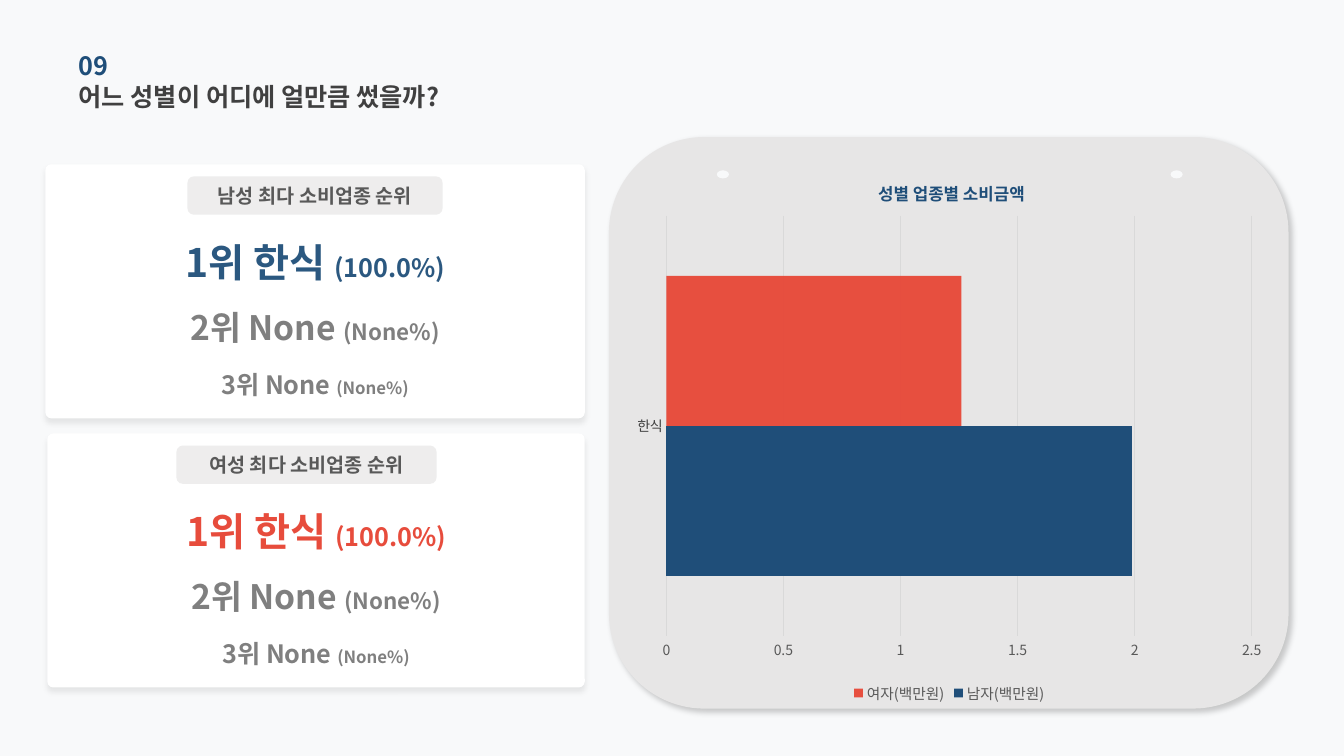
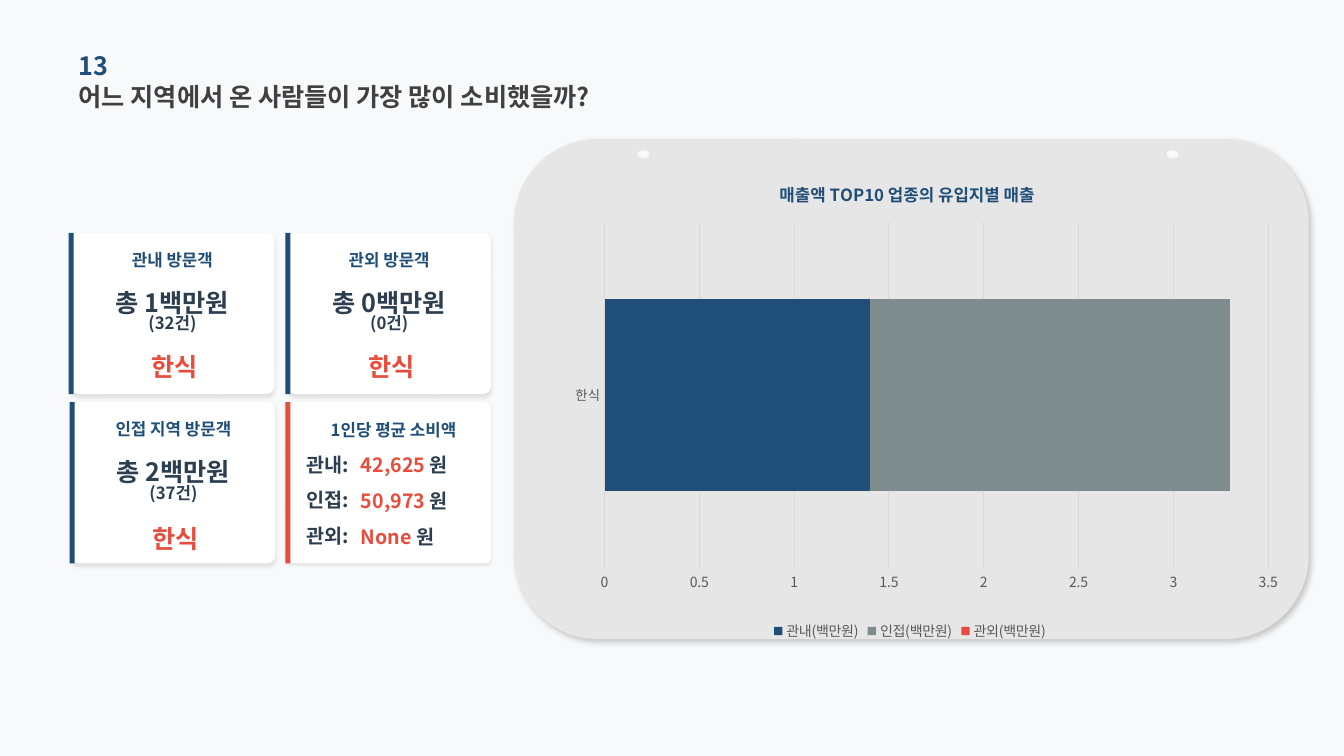
from pptx import Presentation
from pptx.chart.data import CategoryChartData
from pptx.dml.color import RGBColor
from pptx.enum.chart import XL_CHART_TYPE as ChartType, XL_LEGEND_POSITION as LegendPos
from pptx.enum.chart import XL_TICK_MARK as TickMark
from pptx.enum.shapes import MSO_SHAPE as Shape
from pptx.enum.text import MSO_ANCHOR as Anchor, PP_ALIGN as Align
from pptx.oxml import parse_xml
from pptx.oxml.ns import nsdecls, qn
from pptx.util import Inches, Pt

FONT = "Noto Sans CJK KR"
PAGE = RGBColor(0xF8, 0xF9, 0xFA)
WHITE = RGBColor(0xFF, 0xFF, 0xFF)
PANEL = RGBColor(0xE7, 0xE6, 0xE6)
PILL = RGBColor(0xD0, 0xCE, 0xCE)
GRID = RGBColor(0xD9, 0xD9, 0xD9)
NAVY = RGBColor(0x1F, 0x4E, 0x79)
STEEL = RGBColor(0x2B, 0x58, 0x80)
SLATE = RGBColor(0x2C, 0x3E, 0x50)
RED = RGBColor(0xE7, 0x4C, 0x3C)
TEAL_GRAY = RGBColor(0x7F, 0x8C, 0x8D)
CHARCOAL = RGBColor(0x40, 0x40, 0x40)
DARK_GRAY = RGBColor(0x59, 0x59, 0x59)
GRAY = RGBColor(0x7F, 0x7F, 0x7F)

PANEL_SHADOW = (20, 4, 3, 45)
RANK_SHADOW = (8, 4, 3, 90)
VISITOR_SHADOW = (10, 3, 2, 90)
AVERAGE_SHADOW = (10, 2, 1, 90)


def style_font(font, size, color, bold=False):
    font.size = Pt(size)
    font.bold = bold
    font.color.rgb = color
    font.name = FONT
    latin = font._rPr.find(qn("a:latin"))
    latin.addnext(parse_xml(f'<a:ea {nsdecls("a")} typeface="{FONT}"/>'))


def set_alpha(element, percent):
    color = next(element.iter(qn("a:srgbClr")))
    color.append(parse_xml(f'<a:alpha {nsdecls("a")} val="{percent * 1000}"/>'))


def add_block(slide, kind, left, top, width, height, fill, corner=None, shadow=None):
    block = slide.shapes.add_shape(kind, Inches(left), Inches(top), Inches(width), Inches(height))
    block.fill.solid()
    block.fill.fore_color.rgb = fill
    block.line.fill.background()
    block.shadow.inherit = False
    if corner is not None:
        block.adjustments[0] = corner
    if shadow:
        alpha, blur, distance, angle = shadow
        block._element.spPr.find(qn("a:effectLst")).append(parse_xml(
            f'<a:outerShdw {nsdecls("a")} blurRad="{Pt(blur)}" dist="{Pt(distance)}" '
            f'dir="{angle * 60000}" algn="tl" rotWithShape="0"><a:srgbClr val="000000">'
            f'<a:alpha val="{alpha * 1000}"/></a:srgbClr></a:outerShdw>'))
    return block


def write(shape, lines, align=Align.CENTER, spacing=None):
    frame = shape.text_frame
    frame.word_wrap = True
    frame.vertical_anchor = Anchor.MIDDLE
    frame.margin_left = frame.margin_right = frame.margin_top = frame.margin_bottom = 0
    for index, line in enumerate(lines):
        paragraph = frame.add_paragraph() if index else frame.paragraphs[0]
        paragraph.alignment = align
        if spacing:
            paragraph.line_spacing = spacing
        for words, size, color in line:
            run = paragraph.add_run()
            run.text = words
            style_font(run.font, size, color, True)


def add_text(slide, left, top, width, height, *lines, **options):
    box = slide.shapes.add_textbox(Inches(left), Inches(top), Inches(width), Inches(height))
    write(box, lines, **options)


def add_page(deck, number, question):
    slide = deck.slides.add_slide(deck.slide_layouts[6])
    slide.background.fill.solid()
    slide.background.fill.fore_color.rgb = PAGE
    add_text(slide, 0.78, 0.44, 5.35, 0.41, [(number, 18, NAVY)], align=Align.LEFT)
    add_text(slide, 0.78, 0.75, 5.35, 0.41, [(question, 18, CHARCOAL)], align=Align.LEFT)
    return slide


def add_panel(slide, left, top, width, height, hole_offsets, hole_drop):
    add_block(slide, Shape.ROUNDED_RECTANGLE, left, top, width, height, PANEL, shadow=PANEL_SHADOW)
    for offset in hole_offsets:
        add_block(slide, Shape.OVAL, left + offset, top + hole_drop, 0.12, 0.08, PAGE)


def set_layout(parent, index, inner=False, **fractions):
    for old in parent.findall(qn("c:layout")):
        parent.remove(old)
    target = '<c:layoutTarget val="inner"/>' if inner else ""
    modes = "".join(f'<c:{side}Mode val="edge"/>' for side in "xy")
    places = "".join(f'<c:{key} val="{value}"/>' for key, value in fractions.items())
    parent.insert(index, parse_xml(
        f'<c:layout {nsdecls("c")}><c:manualLayout>{target}{modes}{places}'
        '</c:manualLayout></c:layout>'))


def style_axis(axis, size, color):
    axis.major_tick_mark = axis.minor_tick_mark = TickMark.NONE
    style_font(axis.tick_labels.font, size, color)


def add_sales_chart(slide, box, kind, title, series, maximum, plot_area, title_spot,
                    category_font, legend_size):
    data = CategoryChartData()
    data.categories = ["한식"]
    for name, value, _ in series:
        data.add_series(name, [value])
    chart = slide.shapes.add_chart(kind, *map(Inches, box), data).chart
    chart.font.size = Pt(10)
    chart.font.name = FONT
    chart.element.find(qn("c:chart")).addnext(parse_xml(
        f'<c:spPr {nsdecls("c", "a")}><a:noFill/><a:ln><a:noFill/></a:ln></c:spPr>'))

    chart.has_title = True
    heading = chart.chart_title.text_frame
    heading.text = title
    style_font(heading.paragraphs[0].runs[0].font, 12, NAVY, True)
    set_layout(chart.chart_title._element, 1, **dict(zip("xy", title_spot)))
    set_layout(chart.element.find(".//" + qn("c:plotArea")), 0, inner=True,
               **dict(zip("xywh", plot_area)))

    chart.has_legend = True
    chart.legend.position = LegendPos.BOTTOM
    chart.legend.include_in_layout = False
    style_font(chart.legend.font, legend_size, DARK_GRAY)

    style_axis(chart.category_axis, *category_font)
    chart.category_axis.format.line.color.rgb = GRID
    chart.category_axis.format.line.width = Pt(0.75)
    amounts = chart.value_axis
    style_axis(amounts, 10, DARK_GRAY)
    amounts.minimum_scale, amounts.maximum_scale, amounts.major_unit = 0, maximum, 0.5
    amounts.format.line.fill.background()
    amounts.has_major_gridlines = True
    amounts.major_gridlines.format.line.color.rgb = GRID
    amounts.major_gridlines.format.line.width = Pt(0.75)

    plot = chart.plots[0]
    plot.gap_width = 80
    plot.vary_by_categories = False
    for bar, (_, _, color) in zip(plot.series, series):
        bar.format.fill.solid()
        bar.format.fill.fore_color.rgb = color
    return chart


def add_ranking(slide, left, top, width, heading, accent, pill_offset, pill_width):
    add_block(slide, Shape.ROUNDED_RECTANGLE, left, top, width, 2.52, WHITE, 0.023, RANK_SHADOW)
    ranks = [
        (0.73, 0.48, "1위 한식 ", 28, "(100.0%)", 18, accent),
        (1.19, 0.84, "2위 None ", 24, "(None%)", 16, GRAY),
        (1.76, 0.84, "3위 None ", 18, "(None%)", 12, GRAY),
    ]
    for drop, height, rank, rank_size, share, share_size, color in ranks:
        add_text(slide, left, top + drop, width, height,
                 [(rank, rank_size, color), (share, share_size, color)])
    pill = add_block(slide, Shape.ROUNDED_RECTANGLE, left + pill_offset, top + 0.12,
                     pill_width, 0.38, PILL)
    set_alpha(pill._element, 36)
    write(pill, [[(heading, 14, DARK_GRAY)]])


def add_edge(slide, left, top, color):
    add_block(slide, Shape.RECTANGLE, left, top, 0.05, 1.6, color)


def add_visitors(slide, left, top, heading, total, count, menu_drop=1.09):
    card = left + 0.02
    add_block(slide, Shape.ROUNDED_RECTANGLE, card, top, 2.02, 1.6, WHITE, 0.048, VISITOR_SHADOW)
    add_text(slide, card, top + 0.11, 2.02, 0.31, [(heading, 12, NAVY)])
    add_text(slide, card, top + 0.56, 2.02, 0.47, [(total, 18, SLATE)], [(count, 12, SLATE)],
             spacing=0.8)
    add_edge(slide, left, top, NAVY)
    add_text(slide, card + 0.02, top + menu_drop, 2.02, 0.47, [("한식", 18, RED)])


def add_averages(slide, left, top, heading, averages):
    add_block(slide, Shape.ROUNDED_RECTANGLE, left, top, 2.04, 1.6, WHITE, 0.032, AVERAGE_SHADOW)
    add_text(slide, left + 0.45, top + 0.15, 1.4, 0.25, [(heading, 12, NAVY)], align=Align.LEFT)
    for row, (region, amount) in enumerate(averages):
        add_text(slide, left + 0.21, top + 0.47 + 0.35 * row, 0.59, 0.3,
                 [(region, 14, SLATE)], align=Align.LEFT)
        add_text(slide, left + 0.75, top + 0.47 + 0.36 * row, 1.25, 0.29,
                 [(amount, 14, RED), ("원", 14, SLATE)], align=Align.LEFT)
    add_edge(slide, left, top, RED)


def build_gender_slide(deck):
    slide = add_page(deck, "09", "어느 성별이 어디에 얼만큼 썼을까?")
    add_panel(slide, 6.04, 1.36, 6.74, 5.67, (1.07, 5.57), 0.33)
    add_ranking(slide, 0.45, 1.63, 5.35, "남성 최다 소비업종 순위", STEEL, 1.41, 2.53)
    add_ranking(slide, 0.47, 4.3, 5.33, "여성 최다 소비업종 순위", RED, 1.28, 2.58)
    chart = add_sales_chart(
        slide, (6.19, 1.52, 6.45, 5.5), ChartType.BAR_CLUSTERED, "성별 업종별 소비금액",
        [("남자(백만원)", 1.99, NAVY), ("여자(백만원)", 1.26, RED)], 2.5,
        (0.065, 0.113, 0.9, 0.758), (0.386, 0.04), (10, CHARCOAL), 10.5)
    set_alpha(chart.plots[0].series[1]._element, 98)


def build_region_slide(deck):
    slide = add_page(deck, "13", "어느 지역에서 온 사람들이 가장 많이 소비했을까?")
    add_panel(slide, 5.1, 1.38, 7.88, 4.96, (1.22, 6.47), 0.11)
    add_averages(slide, 2.83, 3.99, "1인당 평균 소비액",
                 [("관내:", "42,625 "), ("인접:", "50,973 "), ("관외:", "None ")])
    add_visitors(slide, 0.68, 2.31, "관내 방문객", "총 1백만원", "(32건)")
    add_visitors(slide, 2.83, 2.31, "관외 방문객", "총 0백만원", "(0건)")
    add_visitors(slide, 0.69, 3.99, "인접 지역 방문객", "총 2백만원", "(37건)", 1.12)
    chart = add_sales_chart(
        slide, (5.22, 1.56, 7.61, 4.84), ChartType.BAR_STACKED,
        "매출액 TOP10 업종의 유입지별 매출",
        [("관내(백만원)", 1.4, NAVY), ("인접(백만원)", 1.9, TEAL_GRAY), ("관외(백만원)", 0, RED)],
        3.5, (0.102, 0.133, 0.865, 0.709), (0.326, 0.04), (9.5, DARK_GRAY), 10)
    chart.plots[0].overlap = 100


def main():
    deck = Presentation()
    deck.slide_width = Inches(13.33)
    deck.slide_height = Inches(7.5)
    build_gender_slide(deck)
    build_region_slide(deck)
    deck.save("out.pptx")


if __name__ == "__main__":
    main()
